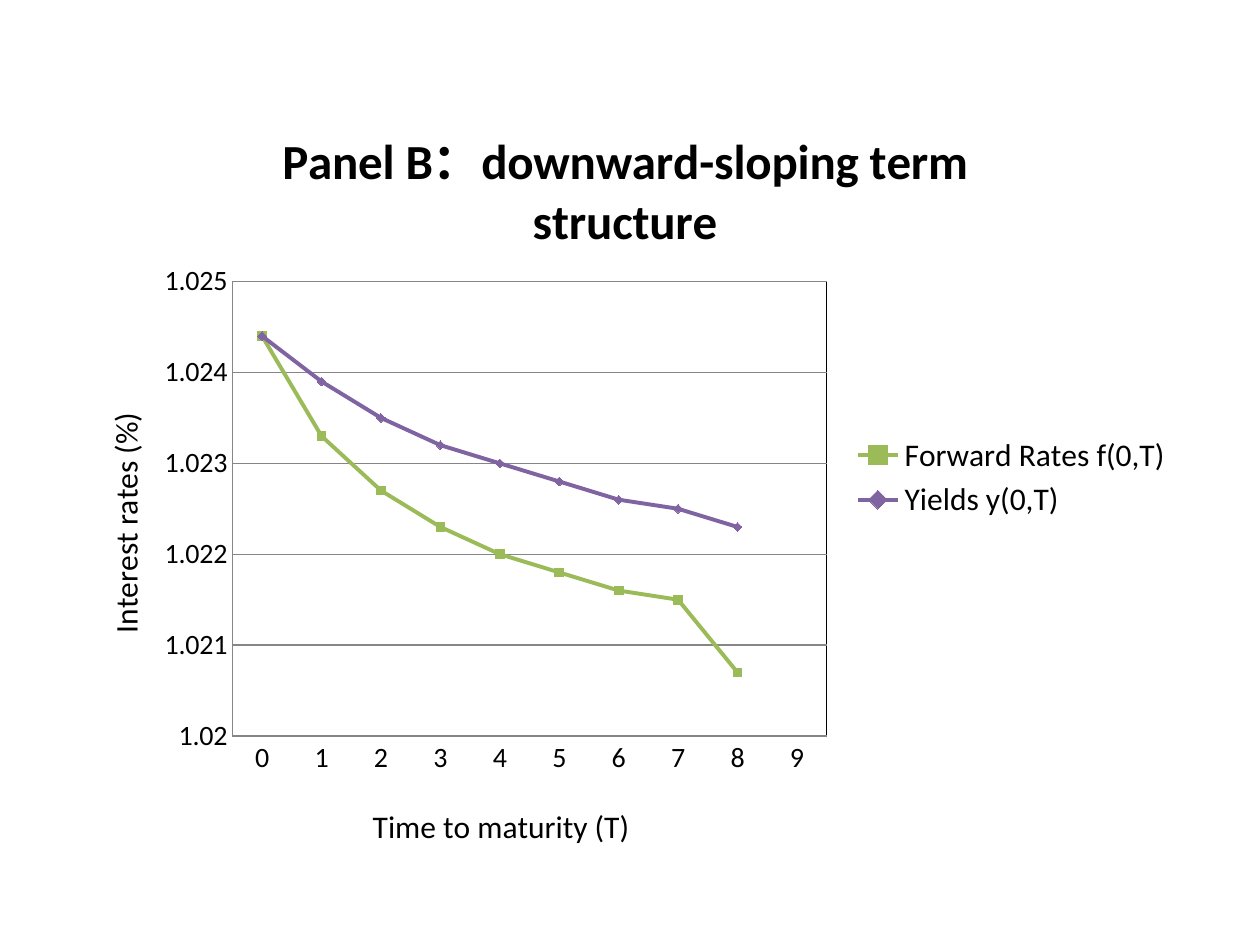
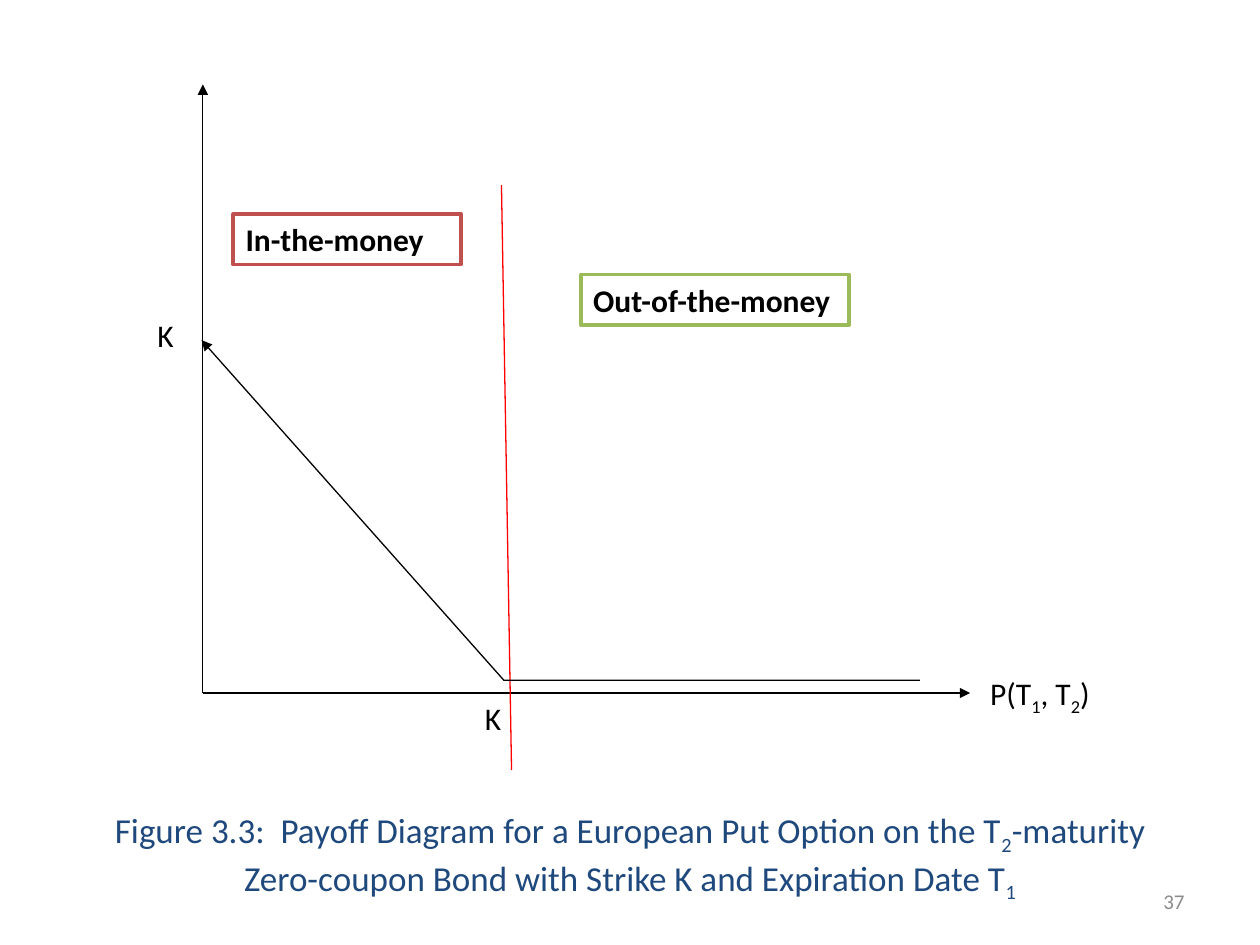
"""Builds two slides: a term structure line chart and a put option payoff diagram."""
from lxml.etree import SubElement
from pptx import Presentation
from pptx.chart.data import CategoryChartData
from pptx.dml.color import RGBColor
from pptx.enum.chart import XL_CHART_TYPE as ChartType, XL_LEGEND_POSITION as LegendPosition
from pptx.enum.chart import XL_MARKER_STYLE as Marker, XL_TICK_MARK as TickMark
from pptx.enum.shapes import MSO_CONNECTOR as Connector, MSO_SHAPE as Shape
from pptx.enum.text import MSO_ANCHOR as Anchor, PP_ALIGN as Align
from pptx.oxml import parse_xml
from pptx.oxml.ns import nsdecls, qn
from pptx.util import Inches, Pt

FONT = "Calibri"
BLACK = RGBColor(0x00, 0x00, 0x00)
WHITE = RGBColor(0xFF, 0xFF, 0xFF)
GREY = RGBColor(0x8C, 0x8C, 0x8C)
AXIS_GREY = RGBColor(0x86, 0x86, 0x86)
NAVY = RGBColor(0x1F, 0x49, 0x7D)
GREEN = RGBColor(0x9B, 0xBB, 0x59)
PURPLE = RGBColor(0x80, 0x64, 0xA2)
BRICK = RGBColor(0xC0, 0x50, 0x4D)
RED = RGBColor(0xFF, 0x00, 0x00)

COLUMNS, ROWS = 100, 75
presentation = Presentation()
presentation.slide_width, presentation.slide_height = Inches(10), Inches(7.5)
COLUMN = presentation.slide_width // COLUMNS
ROW = presentation.slide_height // ROWS
blank = presentation.slide_layouts[6]


def write(frame, text, size=18, color=BLACK, bold=False, align=None, anchor=None, wrap=None):
    """Fill a text frame; pieces between bars are subscripts."""
    paragraph = frame.paragraphs[0]
    if align is not None:
        paragraph.alignment = align
    if anchor is not None:
        frame.vertical_anchor = anchor
    if wrap is not None:
        frame.word_wrap = wrap
    for index, piece in enumerate(text.split("|")):
        if not piece:
            continue
        run = paragraph.add_run()
        run.text = piece
        run.font.name, run.font.size, run.font.bold = FONT, Pt(size), bold
        run.font.color.rgb = color
        if index % 2:
            run._r.get_or_add_rPr().set("baseline", "-25000")


def place(element, index, **shares):
    """Give a chart part a manual layout in shares of the chart's size."""
    for old_layout in element.findall(qn("c:layout")):
        element.remove(old_layout)
    layout = parse_xml(f"<c:layout {nsdecls('c')}><c:manualLayout/></c:layout>")
    manual = layout[0]
    if "w" in shares:
        SubElement(manual, qn("c:layoutTarget"), val="inner")
    for side in ("x", "y"):
        SubElement(manual, qn(f"c:{side}Mode"), val="edge")
    for name, share in shares.items():
        SubElement(manual, qn(f"c:{name}"), val=str(share))
    element.insert(index, layout)


chart_slide = presentation.slides.add_slide(blank)
rates = CategoryChartData(number_format="General")
rates.categories = [str(year) for year in range(10)]
rates.add_series("Forward Rates f(0,T)",
                 [1.0244, 1.0233, 1.0227, 1.0223, 1.022, 1.0218, 1.0216, 1.0215, 1.0207, None])
rates.add_series("Yields y(0,T)",
                 [1.0244, 1.0239, 1.0235, 1.0232, 1.023, 1.0228, 1.0226, 1.0225, 1.0223, None])
chart = chart_slide.shapes.add_chart(
    ChartType.LINE_MARKERS, int(5.1 * COLUMN), int(6.8 * ROW),
    89 * COLUMN, int(62.2 * ROW), rates).chart
chart.font.name, chart.font.size, chart.font.color.rgb = FONT, Pt(10), BLACK
chart.has_title = True
write(chart.chart_title.text_frame, "Panel B：downward-sloping term structure", size=28, bold=True)
chart.has_legend = True
chart.legend.position = LegendPosition.RIGHT
chart.legend.include_in_layout = False
chart.legend.font.name, chart.legend.font.size = FONT, Pt(18)

maturity_axis, rate_axis = chart.category_axis, chart.value_axis
for axis, title, left, top in ((maturity_axis, "Time to maturity (T)", 0.27, 0.91),
                               (rate_axis, "Interest rates (%)", 0.03, 0.41)):
    write(axis.axis_title.text_frame, title)
    place(axis.axis_title._element, 1, x=left, y=top)
    axis.major_tick_mark = axis.minor_tick_mark = TickMark.NONE
    axis.tick_labels.font.name, axis.tick_labels.font.size = FONT, Pt(16)
    axis.format.line.color.rgb = AXIS_GREY
    axis.format.line.width = Pt(0.75)
rate_axis.minimum_scale, rate_axis.maximum_scale, rate_axis.major_unit = 1.02, 1.025, 0.001
rate_axis.tick_labels.number_format = "General"
rate_axis.tick_labels.number_format_is_linked = False
rate_axis.has_major_gridlines = True
rate_axis.major_gridlines.format.line.color.rgb = AXIS_GREY
rate_axis.major_gridlines.format.line.width = Pt(0.75)

plot = chart.plots[0]
plot.vary_by_categories = False
for series, color, marker in zip(plot.series, (GREEN, PURPLE), (Marker.SQUARE, Marker.DIAMOND)):
    series.smooth = False
    series.format.line.color.rgb = color
    series.format.line.width = Pt(2.25)
    series.marker.style, series.marker.size = marker, 5
    series.marker.format.fill.solid()
    series.marker.format.fill.fore_color.rgb = color
    series.marker.format.line.color.rgb = color
plot_area = chart._chartSpace.chart.plotArea
place(plot_area, 0, x=0.15, y=0.25, w=0.53, h=0.58)
plot_area.append(parse_xml(
    f'<c:spPr {nsdecls("c", "a")}><a:noFill/><a:ln w="9525"><a:solidFill>'
    f'<a:srgbClr val="{BLACK}"/></a:solidFill></a:ln></c:spPr>'))

payoff_slide = presentation.slides.add_slide(blank)
shapes = payoff_slide.shapes
caption = ("Figure 3.3:  Payoff Diagram for a European Put Option on the T|2|-maturity "
           "Zero-coupon Bond with Strike K and Expiration Date T|1|")
for text, left, top, width, height, style in (
        ("37", 71.7, 69.5, 23.3, 4,
         dict(size=12, color=GREY, align=Align.RIGHT, anchor=Anchor.MIDDLE, wrap=True)),
        (caption, 7.5, 61.7, 85, 12.5,
         dict(size=20, color=NAVY, align=Align.CENTER, anchor=Anchor.MIDDLE, wrap=True)),
        ("K", 37.5, 55, 4.4, 5, dict(wrap=False)),
        ("P(T|1|, T|2|)", 77.6, 53, 14, 5, dict(wrap=False)),
        ("K", 11.5, 24.6, 4.4, 5, dict(wrap=False))):
    box = shapes.add_textbox(int(left * COLUMN), int(top * ROW),
                             int(width * COLUMN), int(height * ROW))
    write(box.text_frame, text, **style)

ORIGIN = (16.1, 55)
lines = []
for start, end, color in ((ORIGIN, (77, 55), BLACK), (ORIGIN, (16.1, 6.7), BLACK),
                          ((40.6, 61.1), (39.8, 14.7), RED)):
    line = shapes.add_connector(Connector.STRAIGHT, int(start[0] * COLUMN), int(start[1] * ROW),
                                int(end[0] * COLUMN), int(end[1] * ROW))
    lines.append((line, color))
payoff = shapes.build_freeform(72.6, 54.2, scale=(COLUMN, ROW))
payoff.add_line_segments([(40.2, 54.2), (16.1, 26.7)], close=False)
payoff_line = payoff.convert_to_shape()
payoff_line.fill.background()
lines.append((payoff_line, BLACK))
for line, color in lines:
    line.line.color.rgb = color
    line.line.width = Pt(0.75)
    properties = line._element.spPr
    if color == BLACK:
        SubElement(properties.find(qn("a:ln")), qn("a:tailEnd"), type="triangle")
    SubElement(properties, qn("a:effectLst"))

for text, left, top, width, color in (("Out-of-the-money", 46.1, 21.8, 21.3, GREEN),
                                      ("In-the-money", 18.5, 17, 18.1, BRICK)):
    region = shapes.add_shape(Shape.RECTANGLE, int(left * COLUMN), int(top * ROW),
                              int(width * COLUMN), 4 * ROW)
    region.shadow.inherit = False
    region.fill.solid()
    region.fill.fore_color.rgb = WHITE
    region.line.color.rgb = color
    region.line.width = Pt(2)
    write(region.text_frame, text, bold=True, align=Align.LEFT, anchor=Anchor.TOP, wrap=True)

presentation.save("out.pptx")
